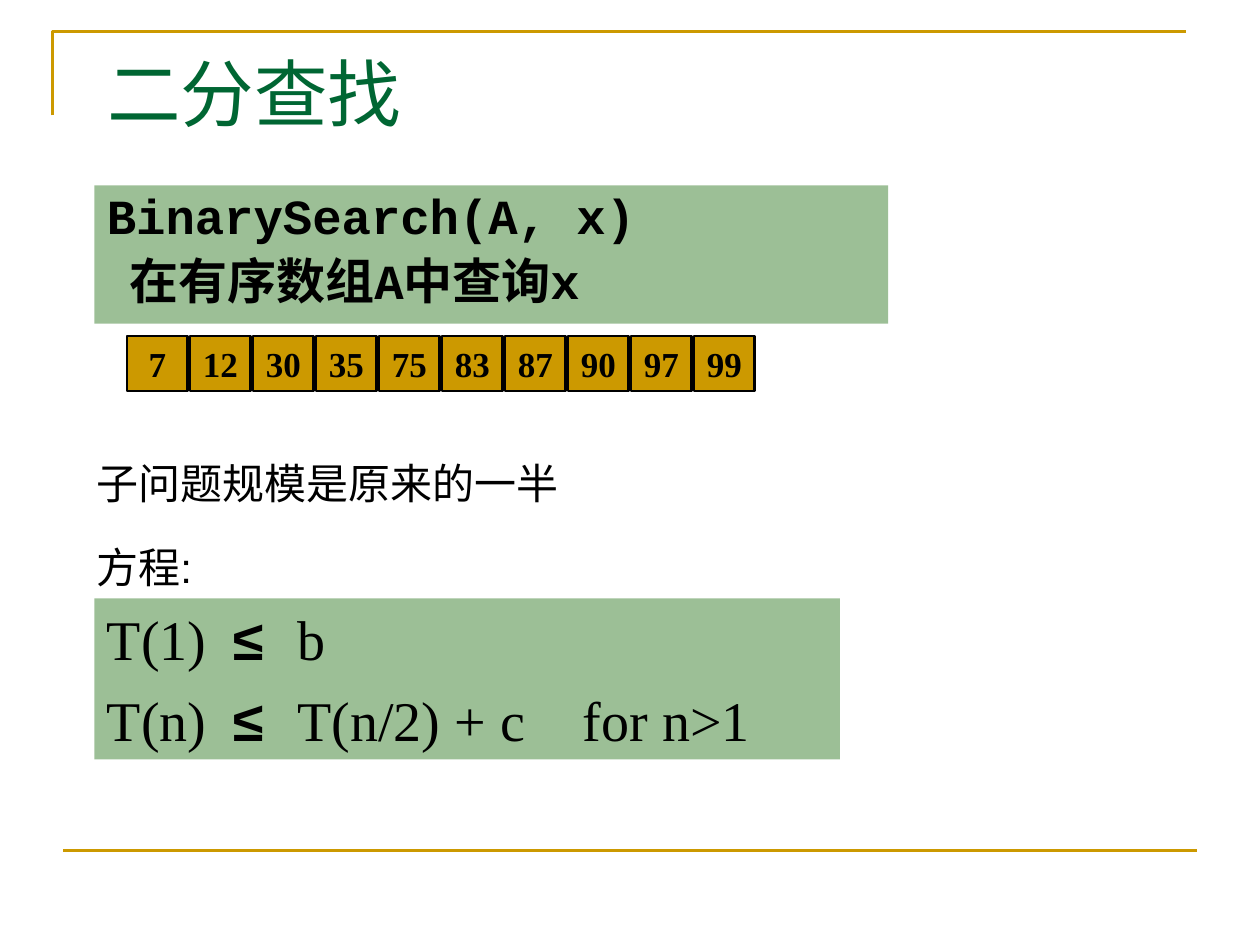
from lxml.etree import SubElement
from pptx import Presentation
from pptx.dml.color import RGBColor
from pptx.enum.shapes import MSO_CONNECTOR, MSO_SHAPE
from pptx.enum.text import MSO_ANCHOR, MSO_AUTO_SIZE, PP_ALIGN
from pptx.oxml.ns import qn
from pptx.util import Pt

COLORS = {"gold": "CC9900", "title": "006633", "panel": "3B812F", "ink": "000000"}
SERIF, SANS, MONO = "Times New Roman", "Arial", "Courier New"


def rgb(name):
    return RGBColor.from_string(COLORS[name])


class SlideBuilder:
    def __init__(self, prs):
        self.s = prs.slides.add_slide(prs.slide_layouts[5])

    def run(self, p, text, size, font, color="ink", bold=False):
        r = p.add_run()
        r.text = text
        r.font.size, r.font.name, r.font.bold = Pt(size), font, bold
        r.font.color.rgb = rgb(color)

    def frame(self, sp, wrap=True, anchor=MSO_ANCHOR.TOP):
        tf = sp.text_frame
        tf.auto_size = MSO_AUTO_SIZE.NONE
        tf.word_wrap, tf.vertical_anchor = wrap, anchor
        tf.paragraphs[0].alignment = PP_ALIGN.LEFT
        return tf

    def title(self, text, x, y, w, h):
        sp = self.s.shapes.title
        sp.left, sp.top, sp.width, sp.height = Pt(x), Pt(y), Pt(w), Pt(h)
        self.run(self.frame(sp).paragraphs[0], text, 42, SERIF, "title")

    def text(self, text, x, y, w, h):
        sp = self.s.shapes.add_textbox(Pt(x), Pt(y), Pt(w), Pt(h))
        self.run(self.frame(sp).paragraphs[0], text, 24, SANS)

    def rect(self, x, y, w, h, fill):
        sp = self.s.shapes.add_shape(MSO_SHAPE.RECTANGLE, Pt(x), Pt(y), Pt(w), Pt(h))
        sp.shadow.inherit = False
        sp.fill.solid()
        sp.fill.fore_color.rgb = rgb(fill)
        sp.line.fill.background()
        return sp

    def panel(self, x, y, w, h):
        """Half-transparent panel; returns its text frame."""
        sp = self.rect(x, y, w, h, "panel")
        color = sp.fill._xPr.find(qn("a:solidFill")).find(qn("a:srgbClr"))
        SubElement(color, qn("a:alpha"), val="50000")
        return self.frame(sp)

    def cell(self, text, x, y, w, h):
        sp = self.rect(x, y, w, h, "gold")
        self.stroke(sp, "ink")
        p = self.frame(sp, wrap=False, anchor=MSO_ANCHOR.MIDDLE).paragraphs[0]
        p.alignment = PP_ALIGN.CENTER
        self.run(p, text, 20, SERIF, bold=True)

    def stroke(self, sp, color):
        sp.line.color.rgb = rgb(color)
        sp.line.width = Pt(1.5)

    def rule(self, x1, y1, x2, y2):
        cx = self.s.shapes.add_connector(
            MSO_CONNECTOR.STRAIGHT, Pt(x1), Pt(y1), Pt(x2), Pt(y2))
        self.stroke(cx, "gold")
        SubElement(cx._element.spPr, qn("a:effectLst"))

    def corner(self, start, *points):
        fb = self.s.shapes.build_freeform(Pt(start[0]), Pt(start[1]))
        fb.add_line_segments([(Pt(x), Pt(y)) for x, y in points], close=False)
        sp = fb.convert_to_shape()
        sp.shadow.inherit = False
        sp.fill.background()
        self.stroke(sp, "gold")

    def tabs(self, p, *stops):
        tab_list = SubElement(p._p.get_or_add_pPr(), qn("a:tabLst"))
        for stop in stops:
            SubElement(tab_list, qn("a:tab"), pos=str(Pt(stop)), algn="l")


def main():
    prs = Presentation()
    prs.slide_width, prs.slide_height = Pt(720), Pt(540)
    b = SlideBuilder(prs)

    # Frame lines and title
    b.corner((30, 66), (30, 18), (678, 18))
    b.rule(36, 486, 684, 486)
    b.title("二分查找", 54, 24, 612, 90)

    # Algorithm signature and purpose
    tf = b.panel(54, 106, 453.6, 79)
    for i, line in enumerate(["BinarySearch(A, x)", "在有序数组A中查询x"]):
        p = tf.add_paragraph() if i else tf.paragraphs[0]
        p.alignment, p.line_spacing = PP_ALIGN.LEFT, 0.9
        if i:
            p.space_before = Pt(7)
            p._p.get_or_add_pPr().set("marL", str(Pt(13)))
        b.run(p, line, 28, MONO, bold=True)

    # Sorted array
    for i, value in enumerate([7, 12, 30, 35, 75, 83, 87, 90, 97, 99]):
        b.cell(str(value), 72.6 + 36 * i, 192, 34.7, 31.5)

    # Explanations
    b.text("子问题规模是原来的一半", 48, 258, 474, 36)
    b.text("方程:", 48, 306, 420, 36)

    # Recurrence, aligned on the relation sign
    tf = b.panel(54, 342, 426, 92)
    for i, (left, right) in enumerate([("T(1)", "b"), ("T(n)", "T(n/2) + c\tfor n>1")]):
        p = tf.add_paragraph() if i else tf.paragraphs[0]
        p.alignment = PP_ALIGN.LEFT
        if i:
            p.space_before = Pt(8)
        b.tabs(p, 72, 109, 272)
        b.run(p, left + "\t", 32, SERIF)
        b.run(p, "≤\t", 32, SANS, bold=True)
        b.run(p, right, 32, SERIF)

    prs.save("out.pptx")


if __name__ == "__main__":
    main()
